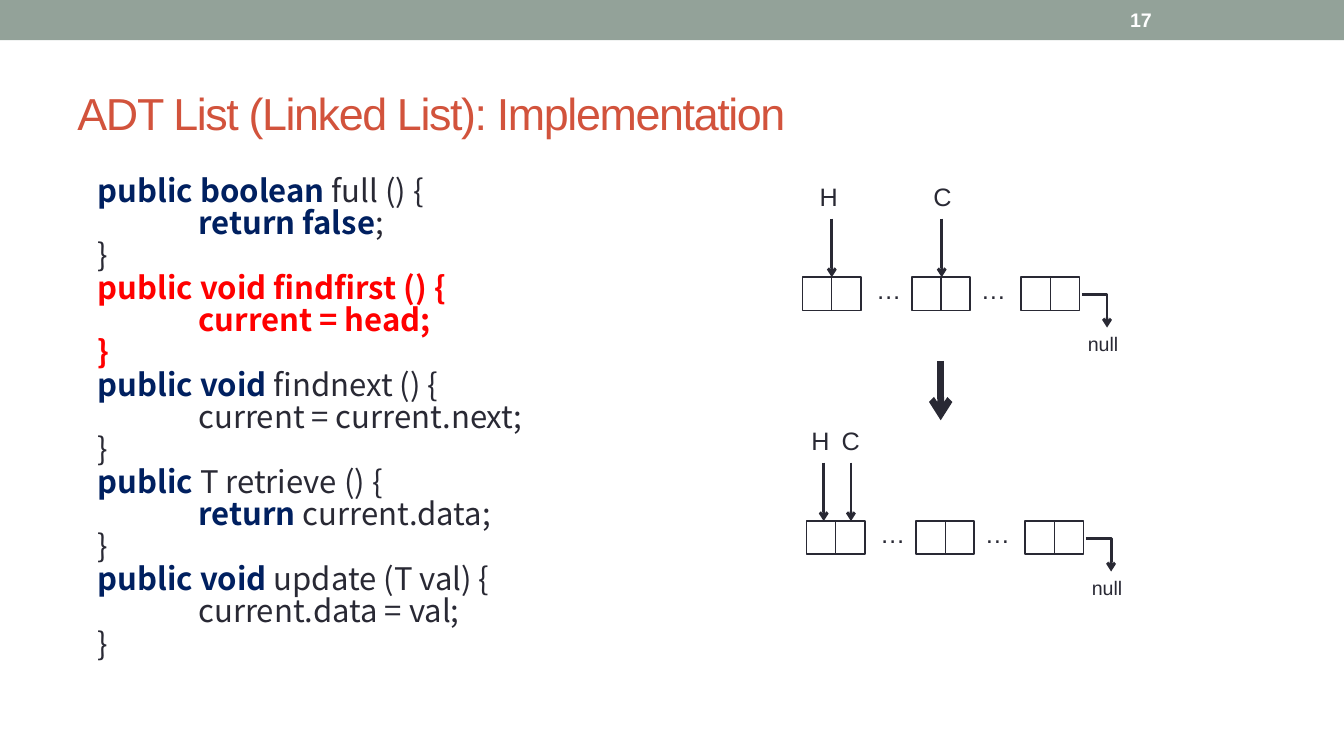
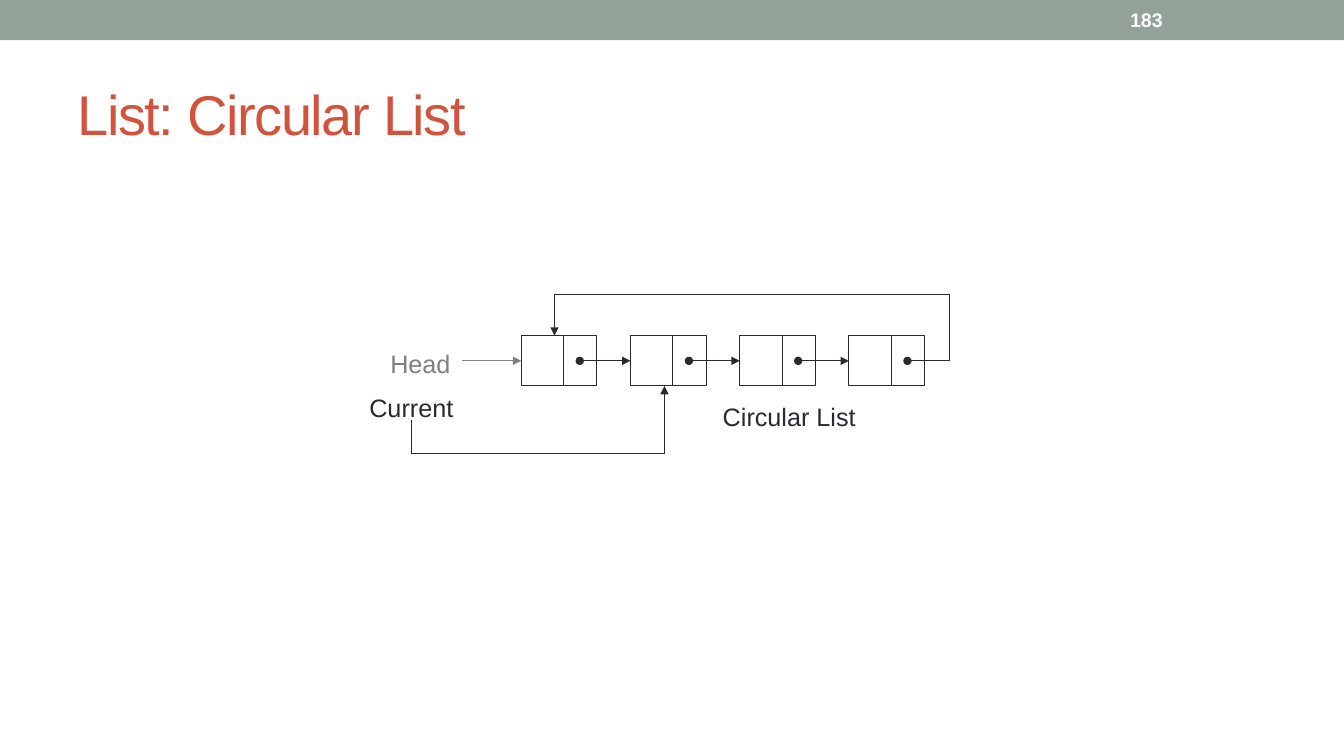
from pptx import Presentation
from pptx.dml.color import RGBColor
from pptx.enum.shapes import MSO_CONNECTOR, MSO_SHAPE
from pptx.enum.text import MSO_ANCHOR, PP_ALIGN
from pptx.oxml.ns import qn
from pptx.util import Inches, Pt
from lxml.etree import SubElement

INK, WHITE, BAND, TITLE = "292934", "FFFFFF", "93A299", "D2533C"
GRAY, KEYWORD, RED = "808080", "002060", "FF0000"
SANS, CODE_FONT = "Arial", "Noto Sans CJK SC"
NODE_PITCH = 13 / 12

CODE = [
    (0, [("public boolean ", KEYWORD), ("full () {", INK)]),
    (1, [("return false", KEYWORD), (";", INK)]),
    (0, [("}", INK)]),
    (0, [("public void findfirst () {", RED)]),
    (1, [("current = head;", RED)]),
    (0, [("}", RED)]),
    (0, [("public void ", KEYWORD), ("findnext () {", INK)]),
    (1, [("current = current.next;", INK)]),
    (0, [("}", INK)]),
    (0, [("public", KEYWORD), (" T retrieve () {", INK)]),
    (1, [("return ", KEYWORD), ("current.data;", INK)]),
    (0, [("}", INK)]),
    (0, [("public void ", KEYWORD), ("update (T val) {", INK)]),
    (1, [("current.data = val;", INK)]),
    (0, [("}", INK)]),
]


def rgb(color):
    return RGBColor.from_string(color)


def style(r, size, color, bold=False, font=SANS):
    r.font.name = font
    r.font.size = Pt(size)
    r.font.bold = bold
    r.font.color.rgb = rgb(color)


def box(s, x, y, w, h, fill=None, line=None, width=0.75):
    sp = s.shapes.add_shape(MSO_SHAPE.RECTANGLE, Inches(x), Inches(y), Inches(w), Inches(h))
    sp.shadow.inherit = False
    if fill:
        sp.fill.solid()
        sp.fill.fore_color.rgb = rgb(fill)
    else:
        sp.fill.background()
    if line:
        sp.line.color.rgb = rgb(line)
        sp.line.width = Pt(width)
    else:
        sp.line.fill.background()


def label(s, text, x, y, w, h, size=18, color=INK, bold=False,
          anchor=MSO_ANCHOR.TOP, align=PP_ALIGN.LEFT, wrap=False):
    tf = s.shapes.add_textbox(Inches(x), Inches(y), Inches(w), Inches(h)).text_frame
    tf.word_wrap = wrap
    tf.vertical_anchor = anchor
    p = tf.paragraphs[0]
    p.text = text
    p.alignment = align
    r = p.runs[0]
    style(r, size, color, bold)
    return r


def link(s, x1, y1, x2, y2, width=0.75, color=INK, head=None, tail=None, bent=False):
    kind = MSO_CONNECTOR.ELBOW if bent else MSO_CONNECTOR.STRAIGHT
    c = s.shapes.add_connector(kind, Inches(x1), Inches(y1), Inches(x2), Inches(y2))
    c.line.color.rgb = rgb(color)
    c.line.width = Pt(width)
    props = c._element.spPr
    if bent:
        props.find(qn("a:prstGeom")).set("prst", "bentConnector2")
    ln = props.find(qn("a:ln"))
    for tag, end in (("a:headEnd", head), ("a:tailEnd", tail)):
        if end:
            SubElement(ln, qn(tag)).set("type", end)
    SubElement(props, qn("a:effectLst"))


def base_slide(prs, title, size, number):
    s = prs.slides.add_slide(prs.slide_layouts[6])
    box(s, 0, 0, 13.33, 0.4, BAND)
    r = label(s, title, 0.67, 0.58, 12, 1.08, size, TITLE, anchor=MSO_ANCHOR.MIDDLE, wrap=True)
    r._r.get_or_add_rPr().set("spc", "-100")
    label(s, number, 11.11, 0.02, 1.56, 0.36, 14, WHITE, True, MSO_ANCHOR.MIDDLE, wrap=True)
    return s


def code_block(s, x, y, w, h):
    tf = s.shapes.add_textbox(Inches(x), Inches(y), Inches(w), Inches(h)).text_frame
    tf.word_wrap = True
    for i, (level, parts) in enumerate(CODE):
        p = tf.paragraphs[0] if i == 0 else tf.add_paragraph()
        p.line_spacing = 0.7
        p.space_before = Pt(4.45)
        p._p.get_or_add_pPr().set("marL", str(Inches(0.2 + level)))
        for text, color in parts:
            r = p.add_run()
            r.text = text
            style(r, 22.2, color, color != INK, CODE_FONT)


def linked_list(s, x, y, pointers):
    for i in range(3):
        left = x + i * NODE_PITCH
        box(s, left, y, 0.58, 0.33, WHITE, INK, 1.25)
        link(s, left + 0.29, y, left + 0.29, y + 0.33)
    for dx in (0.63, 1.67):
        label(s, "…", x + dx, y - 0.08, 0.45, 0.4)
    for name, label_dx, arrow_dx in pointers:
        label(s, name, x + label_dx, y - 1, 0.39, 0.4)
        link(s, x + arrow_dx, y - 0.58, x + arrow_dx, y, 2, tail="arrow")
    link(s, x + 2.77, y + 0.17, x + 3.02, y + 0.5, 2, tail="arrow", bent=True)
    label(s, "null", x + 2.73, y + 0.49, 0.51, 0.34, 14)


def circular_list(s, x, y):
    mid, bottom, top = y + 0.25, y + 0.5, y - 0.41
    end = x + 4.25
    for i in range(4):
        left = x + i * NODE_PITCH
        box(s, left, y, 0.42, 0.5, line=INK)
        box(s, left + 0.42, y, 0.33, 0.5, line=INK)
        if i < 3:
            link(s, left + 0.58, mid, left + NODE_PITCH, mid, head="oval", tail="triangle")
        else:
            link(s, end, mid, left + 0.58, mid, tail="oval")
    link(s, end, mid, end, top)
    link(s, end, top, x + 0.33, top)
    link(s, x + 0.33, top, x + 0.33, y, tail="triangle")

    for text, dx, dy, color in (("Head", -1.6, 0.07, GRAY), ("Current", -1.69, 0.5, INK)):
        label(s, text, x + dx, y + dy, 1.2, 0.42, color=color,
              anchor=MSO_ANCHOR.MIDDLE, align=PP_ALIGN.CENTER)
    link(s, x - 0.59, mid, x, mid, color=GRAY, tail="triangle")
    start, target, low = x - 1.09, x + 1.42, y + 1.17
    link(s, start, y + 0.84, start, low)
    link(s, start, low, target, low)
    link(s, target, low, target, bottom, tail="triangle")
    label(s, "Circular List", x + 1.9, y + 0.6, 1.53, 0.4)


def implementation_slide(prs):
    s = base_slide(prs, "ADT List (Linked List): Implementation", 32, "17")
    code_block(s, 0.67, 1.75, 12, 5.33)
    linked_list(s, 7.96, 2.75, [("H", 0.07, 0.29), ("C", 1.2, 1.38)])
    link(s, 9.33, 3.58, 9.33, 4.17, 4.75, tail="arrow")
    linked_list(s, 8, 5.17, [("H", -0.05, 0.17), ("C", 0.25, 0.44)])


def circular_slide(prs):
    s = base_slide(prs, "List: Circular List", 40, "183")
    circular_list(s, 5.17, 3.33)


def main():
    prs = Presentation()
    prs.slide_width = Inches(13.33)
    prs.slide_height = Inches(7.5)
    implementation_slide(prs)
    circular_slide(prs)
    prs.save("out.pptx")


if __name__ == "__main__":
    main()
